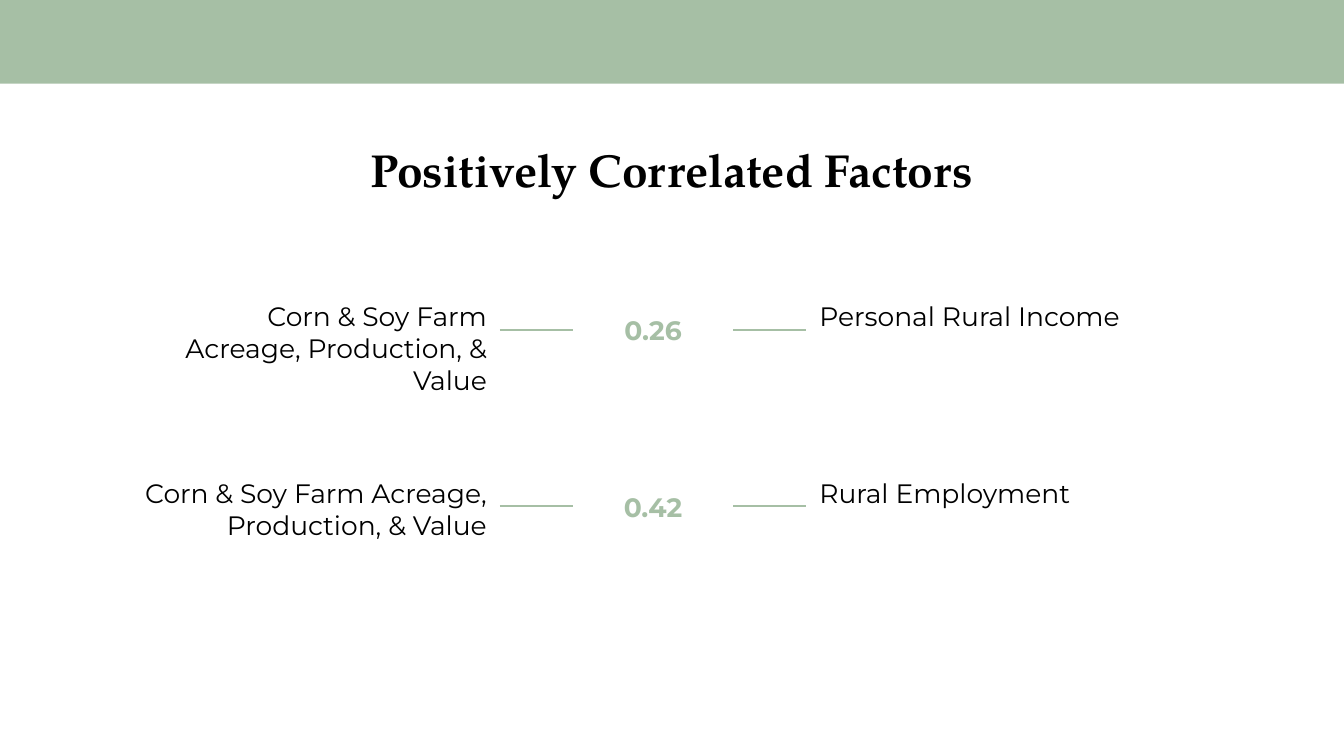
from lxml.etree import SubElement
from pptx import Presentation
from pptx.dml.color import RGBColor
from pptx.enum.shapes import MSO_CONNECTOR as CONN, MSO_SHAPE as SHAPE
from pptx.enum.text import PP_ALIGN as ALIGN
from pptx.oxml.ns import qn
from pptx.util import Cm, Pt

COLORS = {"sage": "A6BFA5", "text": "000000"}
BODY, HEADING = "Montserrat", "TeX Gyre Pagella"

# Column edges and row rhythm, in cm
LEFT_EDGE, RIGHT_EDGE = 12.6, 20.32
DASH_W = 1.84
ROW_TOP, ROW_STEP = 7.24, 4.44

# Factor, width of its box, correlation, outcome
ROWS = [
    ("Corn & Soy Farm Acreage, Production, & Value", 9.22, "0.26", "Personal Rural Income"),
    ("Corn & Soy Farm Acreage, Production, & Value", 9.7, "0.42", "Rural Employment"),
]


def rgb(name):
    return RGBColor.from_string(COLORS[name])


def add_band(slide, width, height):
    sp = slide.shapes.add_shape(SHAPE.RECTANGLE, 0, 0, width, height)
    sp.shadow.inherit = False
    sp.fill.solid()
    sp.fill.fore_color.rgb = rgb("sage")
    sp.line.fill.background()


def add_text(slide, text, x, y, w, h, align=ALIGN.LEFT, size=19,
             font=BODY, color="text", bold=False):
    tf = slide.shapes.add_textbox(Cm(x), Cm(y), Cm(w), Cm(h)).text_frame
    tf.word_wrap = True
    tf.margin_left = tf.margin_right = tf.margin_top = tf.margin_bottom = Cm(0.33)
    p = tf.paragraphs[0]
    p.text = text
    p.alignment = align
    p.font.name = font
    p.font.size = Pt(size)
    p.font.bold = bold
    p.font.color.rgb = rgb(color)


def add_dash(slide, x, y):
    line = slide.shapes.add_connector(CONN.STRAIGHT, Cm(x), Cm(y), Cm(x + DASH_W), Cm(y))
    line.line.color.rgb = rgb("sage")
    line.line.width = Pt(1.5)
    SubElement(line._element.spPr, qn("a:effectLst"))


def add_row(slide, y, factor, factor_w, value, outcome):
    add_text(slide, factor, LEFT_EDGE - factor_w, y, factor_w, 2.16, ALIGN.RIGHT)
    add_text(slide, outcome, RIGHT_EDGE, y, 8.79, 2.16)
    for x in (LEFT_EDGE, RIGHT_EDGE - DASH_W):
        add_dash(slide, x, y + 1.08)
    add_text(slide, value, 14.68, y + 0.35, 3.56, 1.47, ALIGN.CENTER,
             color="sage", bold=True)


def main():
    prs = Presentation()
    prs.slide_width, prs.slide_height = Cm(33.87), Cm(19.05)
    slide = prs.slides.add_slide(prs.slide_layouts[6])

    # Header band and title
    add_band(slide, prs.slide_width, Cm(2.11))
    add_text(slide, "Positively Correlated Factors", 2.64, 3.23, 28.58, 2.03,
             ALIGN.CENTER, size=33, font=HEADING, bold=True)

    # Correlation rows
    for i, row in enumerate(ROWS):
        add_row(slide, ROW_TOP + i * ROW_STEP, *row)

    prs.save("out.pptx")


if __name__ == "__main__":
    main()
